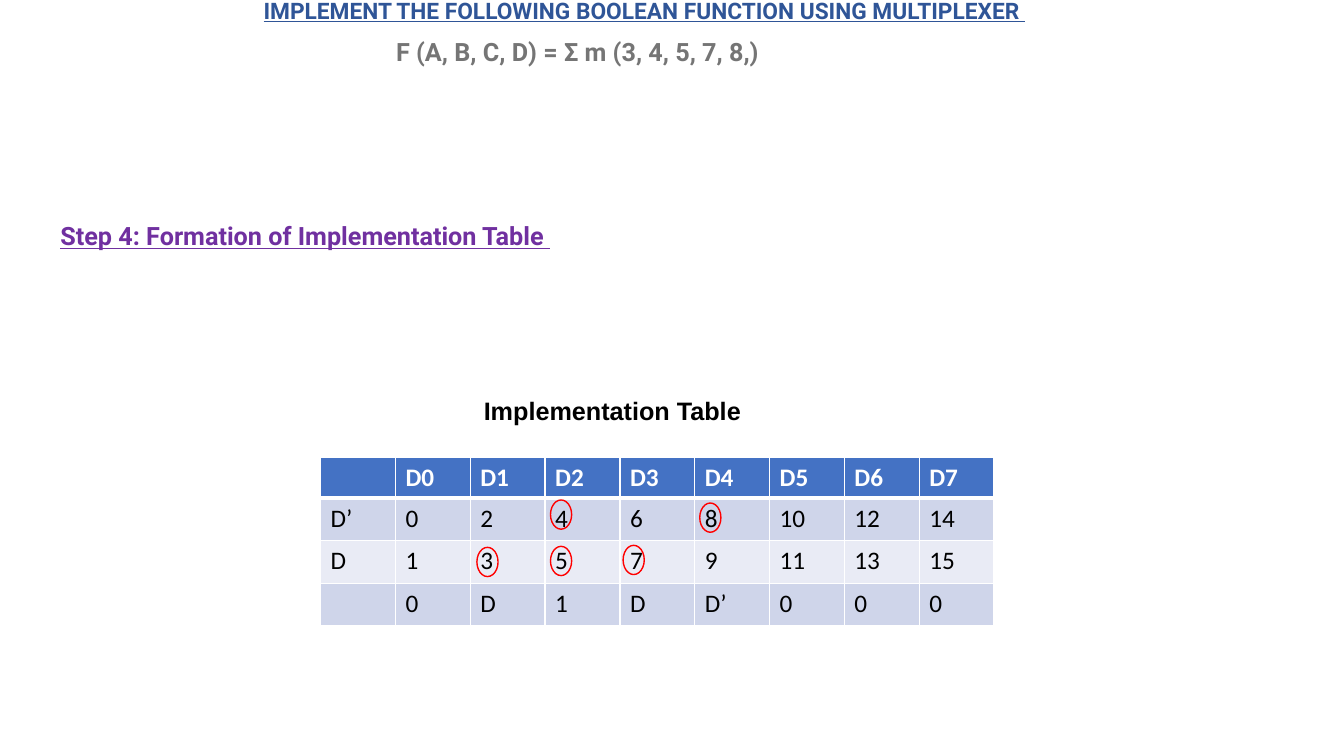
from dataclasses import dataclass
from lxml.etree import SubElement
from pptx import Presentation
from pptx.dml.color import RGBColor
from pptx.enum.shapes import MSO_SHAPE as Preset
from pptx.enum.text import MSO_ANCHOR as Anchor, PP_ALIGN as Align
from pptx.oxml.ns import qn
from pptx.util import Inches, Pt


@dataclass(frozen=True)
class Theme:
    heading_font: str = "Roboto"
    caption_font: str = "Arial"
    table_font: str = "Calibri"
    title_size: float = 16.2
    body_size: float = 18
    title: str = "2F5597"
    formula: str = "757575"
    step: str = "7030A0"
    ink: str = "000000"
    white: str = "FFFFFF"
    header: str = "4472C4"
    odd_row: str = "CFD5EA"
    even_row: str = "E9EBF5"
    ring: str = "FF0000"


THEME = Theme()

IMPLEMENTATION_ROWS = [
    ["", "D0", "D1", "D2", "D3", "D4", "D5", "D6", "D7"],
    ["D’", "0", "2", "4", "6", "8", "10", "12", "14"],
    ["D", "1", "3", "5", "7", "9", "11", "13", "15"],
    ["", "0", "D", "1", "D", "D’", "0", "0", "0"],
]
MINTERM_OFFSETS = {
    8: (3.76, 0.45),
    3: (1.55, 0.89),
    4: (2.28, 0.42),
    5: (2.28, 0.88),
    7: (3.0, 0.87),
}


def add_run(paragraph, text, font, size, color, bold=True, underline=False):
    run = paragraph.add_run()
    run.text = text
    run.font.name = font
    run.font.size = Pt(size)
    run.font.bold = bold
    run.font.underline = underline
    run.font.color.rgb = RGBColor.from_string(color)


def add_line(slide, box, text, font, size, color, underline=False, spacing=1.0, after=0):
    line = slide.shapes.add_textbox(*map(Inches, box))
    line.text_frame.word_wrap = True
    paragraph = line.text_frame.paragraphs[0]
    paragraph.line_spacing = spacing
    paragraph.space_after = Pt(after)
    add_run(paragraph, text, font, size, color, underline=underline)
    return line.text_frame


def add_title(slide, box):
    title = add_line(slide, box, "IMPLEMENT THE FOLLOWING BOOLEAN FUNCTION USING MULTIPLEXER ",
                     THEME.heading_font, THEME.title_size, THEME.title, underline=True, spacing=0.9)
    title.margin_top = title.margin_bottom = 0
    title.vertical_anchor = Anchor.BOTTOM
    title.paragraphs[0].alignment = Align.CENTER


def add_formula(slide, box):
    add_line(slide, box, "F (A, B, C, D) =\u00a0Σ m (3, 4, 5, 7, 8,)",
             THEME.heading_font, THEME.body_size, THEME.formula, spacing=1.07, after=8)


def add_step(slide, box):
    add_line(slide, box, "Step 4: Formation of Implementation Table ",
             THEME.heading_font, THEME.body_size, THEME.step, underline=True, spacing=1.07, after=8)


def add_caption(slide, box):
    add_line(slide, box, "Implementation Table", THEME.caption_font, THEME.body_size, THEME.ink)


def set_borders(cell, top, bottom):
    properties = cell._tc.get_or_add_tcPr()
    for side, width in (("L", 1), ("R", 1), ("T", top), ("B", bottom)):
        border = SubElement(properties, qn(f"a:ln{side}"), w=str(Pt(width)))
        fill = SubElement(border, qn("a:solidFill"))
        SubElement(fill, qn("a:srgbClr"), val=THEME.white)


def add_implementation_table(slide, box):
    left, top, width, height = box
    header_height = 0.4
    row_count, column_count = len(IMPLEMENTATION_ROWS), len(IMPLEMENTATION_ROWS[0])
    table = slide.shapes.add_table(row_count, column_count, *map(Inches, box)).table
    for column in table.columns:
        column.width = Inches(width / column_count)
    for r, values in enumerate(IMPLEMENTATION_ROWS):
        is_header = r == 0
        body_height = (height - header_height) / (row_count - 1)
        table.rows[r].height = Inches(header_height if is_header else body_height)
        row_fill = THEME.header if is_header else THEME.odd_row if r % 2 else THEME.even_row
        for c, value in enumerate(values):
            cell = table.cell(r, c)
            set_borders(cell, top=3 if r == 1 else 1, bottom=3 if is_header else 1)
            cell.fill.solid()
            cell.fill.fore_color.rgb = RGBColor.from_string(row_fill)
            if value:
                add_run(cell.text_frame.paragraphs[0], value, THEME.table_font, THEME.body_size,
                        THEME.white if is_header else THEME.ink, bold=is_header)
    for dx, dy in MINTERM_OFFSETS.values():
        add_ring(slide, (left + dx, top + dy, 0.21, 0.29))


def add_ring(slide, box):
    ring = slide.shapes.add_shape(Preset.OVAL, *map(Inches, box))
    ring.shadow.inherit = False
    ring.fill.background()
    ring.line.color.rgb = RGBColor.from_string(THEME.ring)
    ring.line.width = Pt(1)


def main():
    deck = Presentation()
    deck.slide_width, deck.slide_height = Inches(13.33), Inches(7.5)
    slide = deck.slides.add_slide(deck.slide_layouts[6])
    add_title(slide, (1.39, 0, 10, 0.24))
    add_formula(slide, (3.83, 0.29, 6.67, 0.41))
    add_caption(slide, (4.7, 3.87, 3.64, 0.4))
    add_implementation_table(slide, (3.18, 4.54, 6.68, 1.67))
    add_step(slide, (0.5, 2.12, 6.67, 0.41))
    deck.save("out.pptx")


if __name__ == "__main__":
    main()
